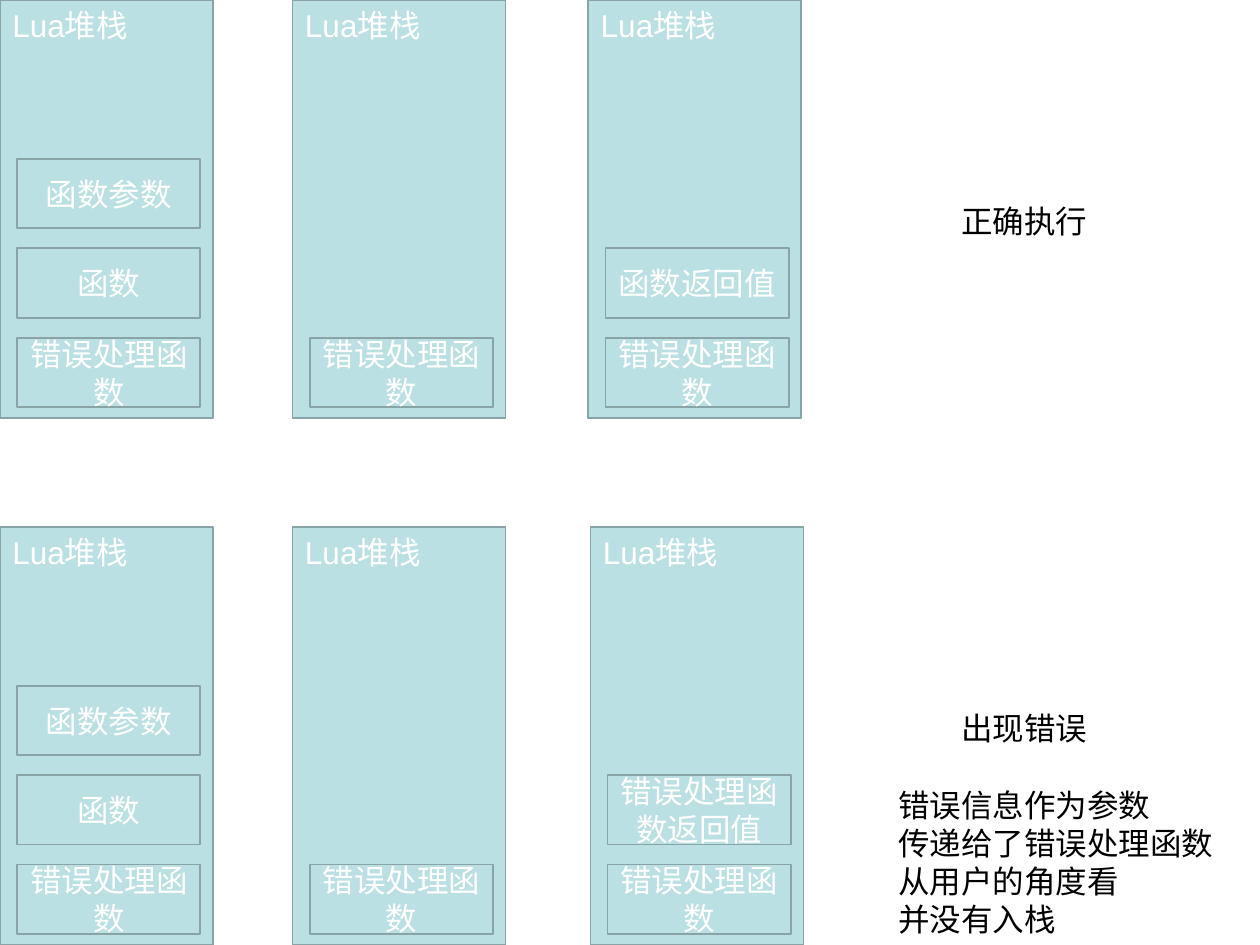
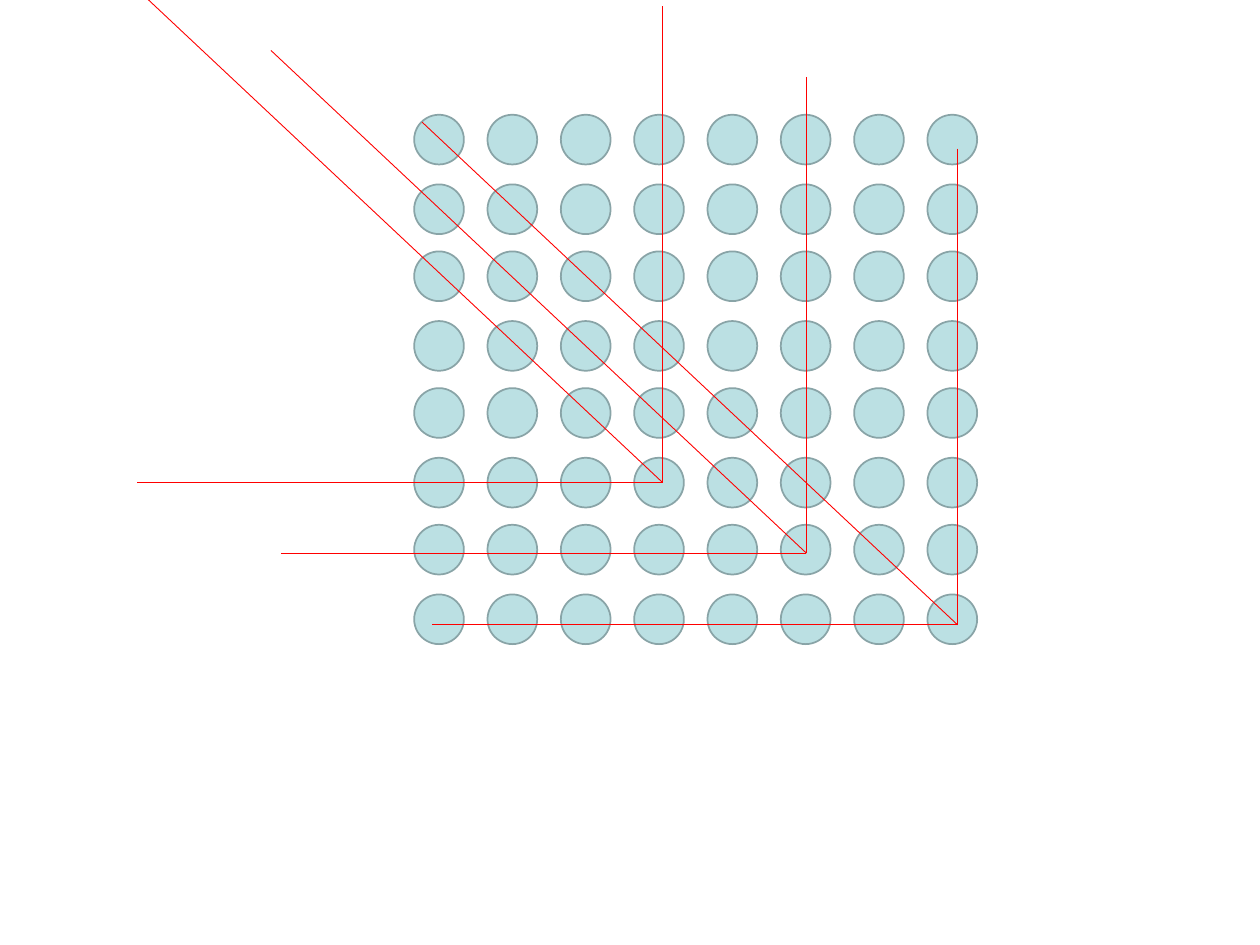
from itertools import product

from lxml.etree import SubElement
from pptx import Presentation
from pptx.dml.color import RGBColor
from pptx.enum.shapes import MSO_CONNECTOR as CONN, MSO_SHAPE as SHAPE
from pptx.enum.text import MSO_ANCHOR as ANCHOR, MSO_AUTO_SIZE as AUTO, PP_ALIGN as ALIGN
from pptx.oxml.ns import qn
from pptx.util import Pt

# Shared style
FILL = RGBColor(0xBB, 0xE0, 0xE3)
EDGE = RGBColor(0x89, 0xA4, 0xA7)
WHITE = RGBColor(0xFF, 0xFF, 0xFF)
BLACK = RGBColor(0, 0, 0)
RED = RGBColor(0xFF, 0, 0)
FONT = "Arial"

# Stack diagrams: (left, top, slots from the bottom up)
STACK_TITLE = "Lua堆栈"
HANDLER = "错误处理函数"
CALL = [HANDLER, "函数", "函数参数"]
STACKS = [
    (0, 0, CALL),
    (167.2, 0, [HANDLER]),
    (336.2, 0, [HANDLER, "函数返回值"]),
    (0, 301, CALL),
    (167.2, 301, [HANDLER]),
    (337.4, 301, [HANDLER, "错误处理函数返回值"]),
]
STACK_W, STACK_H = 121.7, 239
SLOT_X, SLOT_Y, SLOT_W, SLOT_H, SLOT_PITCH = 9.8, 193, 104.7, 39.7, 51.1

# Captions: (left, top, width, height, lines)
CAPTIONS = [
    (542.2, 112.2, 86.4, 28.8, ["正确执行"]),
    (542.2, 401.9, 86.4, 28.8, ["出现错误"]),
    (506.2, 445.7, 194.4, 93.6,
     ["错误信息作为参数", "传递给了错误处理函数", "从用户的角度看", "并没有入栈"]),
]

# Dot grid: rows come in pairs, with a slightly wider gap inside each pair
GRID_N, DOT = 8, 28.4
GRID_X, GRID_Y, COL_PITCH = 236.7, 65.6, 41.9
ROW_GAP, PAIR_PITCH = 39.8, 78.1

# Rays: every corner sends out the same left, up and diagonal arms
CORNERS = [(547.2, 357.1), (460.8, 316.1), (378.7, 275.8)]
ARMS = [(-300.2, 0), (0, -272.2), (-306, -287.3)]


def write(sp, lines, color=WHITE, align=ALIGN.LEFT, anchor=ANCHOR.TOP, wrap=True):
    tf = sp.text_frame
    tf.word_wrap = wrap
    tf.vertical_anchor = anchor
    tf.auto_size = AUTO.NONE if wrap else AUTO.SHAPE_TO_FIT_TEXT
    for i, line in enumerate(lines):
        p = tf.add_paragraph() if i else tf.paragraphs[0]
        p.alignment = align
        r = p.add_run()
        r.text = line
        r.font.name, r.font.size = FONT, Pt(18)
        r.font.color.rgb = color


def add_shape(s, kind, x, y, w, h):
    sp = s.shapes.add_shape(kind, Pt(x), Pt(y), Pt(w), Pt(h))
    sp.shadow.inherit = False
    sp.fill.solid()
    sp.fill.fore_color.rgb = FILL
    sp.line.color.rgb = EDGE
    sp.line.width = Pt(1)
    return sp


def add_stack(s, x, y, slots):
    write(add_shape(s, SHAPE.RECTANGLE, x, y, STACK_W, STACK_H), [STACK_TITLE])
    for i, label in enumerate(slots):
        slot = add_shape(s, SHAPE.RECTANGLE, x + SLOT_X,
                         y + SLOT_Y - i * SLOT_PITCH, SLOT_W, SLOT_H)
        write(slot, [label], align=ALIGN.CENTER, anchor=ANCHOR.MIDDLE)


def add_rays(s, x, y):
    group = s.shapes.add_group_shape()
    for dx, dy in ARMS:
        ray = group.shapes.add_connector(CONN.STRAIGHT, Pt(x + dx), Pt(y + dy), Pt(x), Pt(y))
        ray.line.color.rgb = RED
        ray.line.width = Pt(0.5)
        SubElement(ray._element.spPr, qn("a:effectLst"))


def main():
    prs = Presentation()
    prs.slide_width, prs.slide_height = Pt(720), Pt(540)
    blank = prs.slide_layouts[6]

    # Slide 1: stack contents, success above and failure below
    s = prs.slides.add_slide(blank)
    for stack in STACKS:
        add_stack(s, *stack)
    for x, y, w, h, lines in CAPTIONS:
        box = s.shapes.add_textbox(Pt(x), Pt(y), Pt(w), Pt(h))
        write(box, lines, color=BLACK, wrap=False)

    # Slide 2: dot grid with rays
    s = prs.slides.add_slide(blank)
    for row, col in product(range(GRID_N), repeat=2):
        y = GRID_Y + row // 2 * PAIR_PITCH + row % 2 * ROW_GAP
        add_shape(s, SHAPE.OVAL, GRID_X + col * COL_PITCH, y, DOT, DOT)
    for corner in CORNERS:
        add_rays(s, *corner)

    prs.save("out.pptx")


if __name__ == "__main__":
    main()
